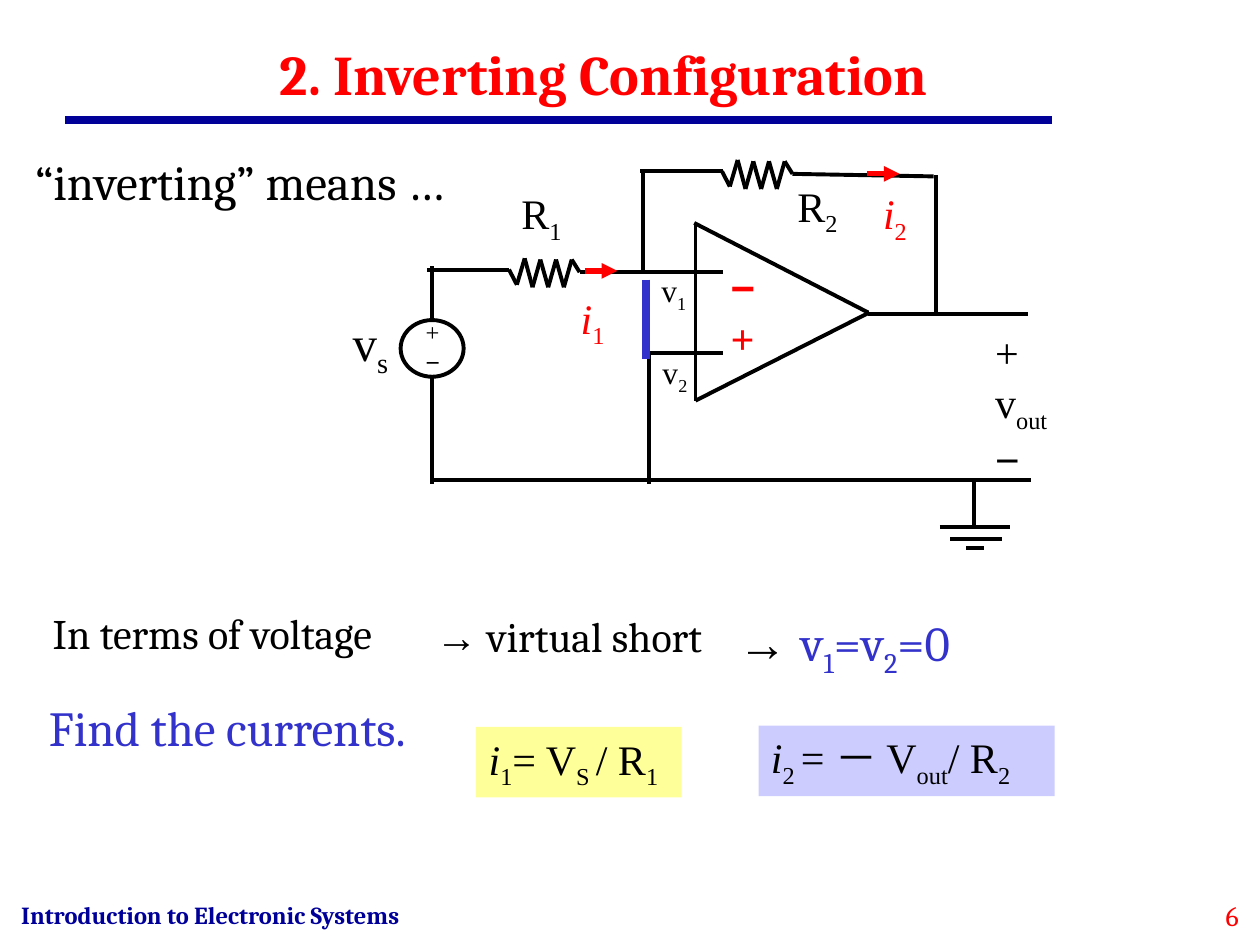
from lxml import etree
from pptx import Presentation
from pptx.dml.color import RGBColor
from pptx.enum.shapes import MSO_CONNECTOR, MSO_SHAPE
from pptx.enum.text import MSO_ANCHOR, MSO_AUTO_SIZE, PP_ALIGN
from pptx.oxml.ns import qn
from pptx.util import Inches, Pt

STRAIGHT = MSO_CONNECTOR.STRAIGHT
RECTANGLE, OVAL = MSO_SHAPE.RECTANGLE, MSO_SHAPE.OVAL
LEFT, RIGHT = PP_ALIGN.LEFT, PP_ALIGN.RIGHT
TOP = MSO_ANCHOR.TOP
FIXED, GROW = MSO_AUTO_SIZE.NONE, MSO_AUTO_SIZE.SHAPE_TO_FIT_TEXT

SERIF, SANS, HEADING = "Times New Roman", "Arial", "Cambria"
BLACK, RED, NAVY, BLUE = "000000", "FF0000", "000099", "3333CC"
YELLOW, LAVENDER = "FFFF99", "CCCCFF"
TITLE_ONLY = 5


def color(value):
    return RGBColor.from_string(value)


def sub(text):
    return text, {"subscript": True}


class CircuitSlide:
    def __init__(self, slide, wire_width=2.25):
        self.slide = slide
        self.wire_width = wire_width

    def fill_text(self, shape, paragraphs, size, font=SERIF, ink=BLACK,
                  bold=False, align=LEFT, wrap=False, fit=GROW):
        """Write paragraphs, each a list of plain strings or (string, overrides)."""
        frame = shape.text_frame
        frame.word_wrap = wrap
        frame.auto_size = fit
        frame.vertical_anchor = TOP
        frame.margin_left = frame.margin_right = Inches(0.1)
        frame.margin_top = frame.margin_bottom = Inches(0.05)
        for index, pieces in enumerate(paragraphs):
            paragraph = frame.add_paragraph() if index else frame.paragraphs[0]
            paragraph.alignment = align
            for piece in pieces:
                text, changes = (piece, {}) if isinstance(piece, str) else piece
                run = paragraph.add_run()
                run.text = text
                run.font.size = Pt(size)
                run.font.name = changes.get("font", font)
                run.font.bold = bold
                run.font.italic = changes.get("italic", False)
                run.font.color.rgb = color(changes.get("ink", ink))
                if changes.get("subscript"):
                    run._r.get_or_add_rPr().set("baseline", "-25000")

    def title(self, box, text):
        title = self.slide.shapes.title
        title.left, title.top, title.width, title.height = map(Inches, box)
        self.fill_text(title, [[text]], 32, HEADING, RED, bold=True,
                       wrap=True, fit=FIXED)

    def text(self, box, paragraphs, size, **style):
        shape = self.slide.shapes.add_textbox(*map(Inches, box))
        self.fill_text(shape, paragraphs, size, **style)

    def shape(self, kind, box, fill=None, line=None):
        shape = self.slide.shapes.add_shape(kind, *map(Inches, box))
        shape.shadow.inherit = False
        if fill:
            shape.fill.solid()
            shape.fill.fore_color.rgb = color(fill)
        else:
            shape.fill.background()
        if line:
            shape.line.color.rgb = color(line)
            shape.line.width = Pt(self.wire_width)
        else:
            shape.line.fill.background()
        return shape

    def formula(self, box, fill, pieces):
        self.fill_text(self.shape(RECTANGLE, box, fill), [pieces], 24)

    def line(self, start, end, ink=BLACK, width=None, arrow=False):
        connector = self.slide.shapes.add_connector(
            STRAIGHT, *map(Inches, (*start, *end)))
        connector.line.color.rgb = color(ink)
        connector.line.width = Pt(width or self.wire_width)
        if arrow:
            etree.SubElement(connector.line._get_or_add_ln(),
                             qn("a:tailEnd"), type="triangle")
        etree.SubElement(connector._element.spPr, qn("a:effectLst"))

    def resistor(self, left, top):
        offsets = [0, 0.12, -0.09, 0.14, -0.08, 0.14, -0.08, 0.14, -0.08, 0.02]
        step = 0.56 / (len(offsets) - 1)
        points = [(left + step * i, top + y) for i, y in enumerate(offsets)]
        for start, end in zip(points, points[1:]):
            self.line(start, end)

    def current(self, label_box, number, start):
        self.text(label_box, [[("i", {"italic": True}), sub(number)]], 24, ink=RED)
        x, y = start
        self.line(start, (x + 0.26, y), RED, 3, arrow=True)


def draw_circuit(page):
    wires = [
        # amplifier triangle
        ((5.52, 1.78), (5.52, 3.18)),
        ((5.51, 1.77), (6.89, 2.48)),
        ((5.52, 3.18), (6.9, 2.48)),
        # output and common rail
        ((6.89, 2.49), (8.16, 2.49)),
        ((3.43, 3.81), (8.18, 3.81)),
        # lower input
        ((5.15, 2.8), (5.74, 2.8)),
        ((5.15, 2.8), (5.15, 3.84)),
        # upper input
        ((5.74, 2.16), (4.6, 2.16)),
        ((4.04, 2.14), (3.39, 2.14)),
        # feedback loop
        ((5.1, 2.16), (5.1, 1.35)),
        ((5.74, 1.36), (5.08, 1.36)),
        ((7.41, 1.4), (6.29, 1.38)),
        ((7.43, 1.39), (7.43, 2.5)),
        # source leads
        ((3.43, 2.54), (3.43, 2.11)),
        ((3.43, 3.84), (3.43, 2.99)),
        # ground
        ((7.73, 3.81), (7.73, 4.18)),
        ((7.46, 4.18), (8.02, 4.18)),
        ((7.54, 4.28), (7.95, 4.28)),
        ((7.67, 4.35), (7.81, 4.35)),
    ]
    for start, end in wires:
        page.line(start, end)
    page.resistor(4.04, 2.14)
    page.resistor(5.73, 1.36)
    page.shape(OVAL, (3.18, 2.54, 0.5, 0.45), line=BLACK)

    labels = [
        ((4.04, 1.44, 0.52, 0.56), "R", "1", 24),
        ((6.23, 1.38, 0.52, 0.56), "R", "2", 24),
        ((5.15, 2.1, 0.4, 0.44), "v", "1", 18),
        ((5.16, 2.75, 0.4, 0.44), "v", "2", 18),
        ((2.7, 2.43, 0.48, 0.63), "v", "s", 28),
    ]
    for box, letter, index, size in labels:
        page.text(box, [[letter, sub(index)]], size)

    minus = ("−", {"font": SANS})
    page.text((5.7, 2.03, 0.39, 0.9), [[minus], ["+"]], 24, ink=RED, bold=True)
    page.text((7.8, 2.54, 0.7, 1.36), [["+"], ["v", sub("out")], [minus]], 24,
              wrap=True)
    page.text((3.28, 2.47, 0.31, 0.57), [["+"], [minus]], 14)
    page.current((4.51, 2.27, 0.39, 0.56), "1", (4.64, 2.15))
    page.current((6.91, 1.44, 0.39, 0.56), "2", (6.88, 1.38))
    page.line((5.13, 2.22), (5.13, 2.85), BLUE, 4.5)


def draw_explanation(page):
    page.text((0.18, 1.15, 3.86, 0.57), [["“inverting” means …"]], 28, font=HEADING)
    page.text((0.32, 4.77, 3.22, 0.5), [["In terms of voltage"]], 24,
              font=HEADING, wrap=True)
    page.text((3.22, 4.8, 2.45, 0.5), [[("→", {"font": SANS}), " virtual short"]],
              24, font=HEADING, align=RIGHT)
    page.text((5.76, 4.81, 2.51, 0.63),
              [[("→ ", {"font": SANS, "ink": BLACK}),
                "v", sub("1"), "=v", sub("2"), "=0"]],
              28, font=HEADING, ink=BLUE, wrap=True)
    page.text((0.29, 5.49, 3.44, 0.57), [["Find the currents."]], 28,
              font=HEADING, ink=BLUE, wrap=True)
    current = ("i", {"italic": True})
    page.formula((3.78, 5.77, 1.63, 0.56), YELLOW,
                 [current, sub("1"), "= V", sub("S "), "/ R", sub("1")])
    page.formula((6.02, 5.76, 2.35, 0.56), LAVENDER,
                 [current, sub("2 "), "= － V", sub("out"), "/ R", sub("2")])


def main():
    presentation = Presentation()
    presentation.slide_width, presentation.slide_height = Inches(10), Inches(7.5)
    layout = presentation.slide_layouts[TITLE_ONLY]
    page = CircuitSlide(presentation.slides.add_slide(layout))
    page.title((2.12, 0.26, 5.5, 0.64), "2. Inverting Configuration")
    page.line((0.52, 0.95), (8.35, 0.95), NAVY, 4.5)
    draw_circuit(page)
    draw_explanation(page)
    page.text((0.07, 7.09, 3.85, 0.27), [["Introduction to Electronic Systems"]], 14,
              font=HEADING, ink=NAVY, bold=True, wrap=True, fit=FIXED)
    page.text((9.26, 7.08, 0.67, 0.34), [["6"]], 16, font=HEADING, ink=RED,
              align=RIGHT, wrap=True, fit=FIXED)
    presentation.save("out.pptx")


if __name__ == "__main__":
    main()
